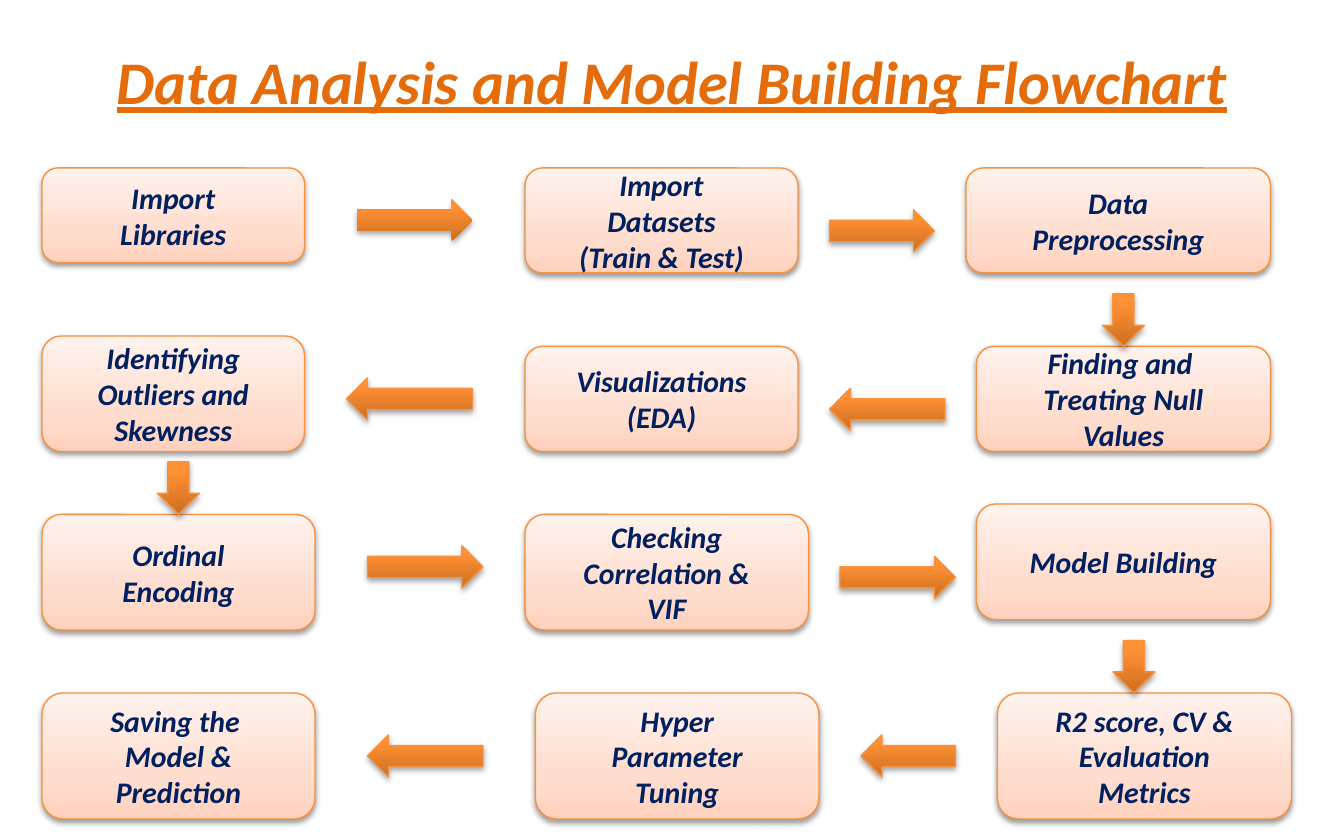
import dataclasses

import lxml.etree
import pptx
import pptx.dml.color
import pptx.enum.shapes
import pptx.enum.text
import pptx.oxml.ns
import pptx.util

Inches = pptx.util.Inches
Kind = pptx.enum.shapes.MSO_SHAPE
qn = pptx.oxml.ns.qn

UNIT = 10 / 128  # the slide is a grid of 128 by 80 squares
EDGE = "F69240"
STEP_FILL = ((0, "FFD2BD"), (35, "FFDED0"), (100, "FFF2ED"))
ARROW_FILL = ((0, "CC6E20"), (80, "FF9034"), (100, "FF9136"))
STEP_FONT = {"size": pptx.util.Pt(16), "name": "Calibri", "bold": True, "italic": True}
TITLE_FONT = STEP_FONT | {"size": pptx.util.Pt(32.4), "underline": True}


@dataclasses.dataclass(frozen=True)
class Step:
    """A flowchart box, measured in grid squares."""
    text: str
    left: int
    top: int
    width: int
    height: int


@dataclasses.dataclass(frozen=True)
class Arrow:
    """A block arrow, measured in grid squares."""
    kind: Kind
    left: int
    top: int
    width: int
    height: int = 4
    edged: bool = True


STEPS = (
    Step("Import\nLibraries", 4, 16, 25, 9),
    Step("Import\nDatasets\n(Train & Test)", 50, 16, 26, 10),
    Step("Data\nPreprocessing", 92, 16, 29, 10),
    Step("Finding and \nTreating Null\nValues", 93, 33, 28, 10),
    Step("Visualizations\n(EDA)", 50, 33, 26, 10),
    Step("Identifying\nOutliers and\nSkewness", 4, 32, 25, 11),
    Step("Ordinal\nEncoding", 4, 49, 26, 11),
    Step("Checking\nCorrelation &\nVIF", 50, 49, 27, 11),
    Step("Model Building", 93, 48, 28, 11),
    Step("R2 score, CV &\nEvaluation\nMetrics", 95, 66, 28, 12),
    Step("Hyper\nParameter\nTuning", 51, 66, 27, 12),
    Step("Saving the \nModel &\nPrediction", 4, 66, 26, 12),
)
ARROWS = (
    Arrow(Kind.RIGHT_ARROW, 34, 19, 11, edged=False),
    Arrow(Kind.RIGHT_ARROW, 79, 20, 10),
    Arrow(Kind.DOWN_ARROW, 105, 28, 4, 5),
    Arrow(Kind.LEFT_ARROW, 79, 37, 11),
    Arrow(Kind.LEFT_ARROW, 33, 36, 12),
    Arrow(Kind.DOWN_ARROW, 15, 44, 4, 5),
    Arrow(Kind.RIGHT_ARROW, 35, 52, 11),
    Arrow(Kind.RIGHT_ARROW, 80, 53, 11),
    Arrow(Kind.DOWN_ARROW, 106, 61, 4, 5),
    Arrow(Kind.LEFT_ARROW, 82, 70, 9),
    Arrow(Kind.LEFT_ARROW, 35, 70, 11),
)


def paint(color, value: str) -> None:
    color.rgb = pptx.dml.color.RGBColor.from_string(value)


def add_tag(parent, name: str, **values):
    node = lxml.etree.SubElement(parent, qn(name))
    for key, value in values.items():
        node.set(key, str(value))
    return node


def shade(shape, stops: tuple) -> None:
    """Fill from bottom to top with the given stops."""
    shape.fill.gradient()
    shape.fill.gradient_angle = 90
    ramp = shape.element.spPr.find(qn("a:gradFill")).find(qn("a:gsLst"))
    for old in list(ramp):
        ramp.remove(old)
    for place, value in stops:
        stop = add_tag(ramp, "a:gs", pos=place * 1000)
        add_tag(stop, "a:srgbClr", val=value)


def cast(shape, drop: float, alpha: int) -> None:
    """Add a soft black shadow below the shape."""
    shape.shadow.inherit = False
    effects = shape.element.spPr.find(qn("a:effectLst"))
    shadow = add_tag(effects, "a:outerShdw", blurRad=pptx.util.Pt(3.1),
                     dist=pptx.util.Pt(drop), dir=90 * 60000, rotWithShape=0)
    color = add_tag(shadow, "a:srgbClr", val="000000")
    add_tag(color, "a:alpha", val=alpha * 1000)


def write(shape, text: str, look: dict, color: str) -> None:
    frame = shape.text_frame
    frame.word_wrap = True
    frame.vertical_anchor = pptx.enum.text.MSO_ANCHOR.MIDDLE
    frame.text = text
    for para in frame.paragraphs:
        para.alignment = pptx.enum.text.PP_ALIGN.CENTER
        font = para.runs[0].font
        for key, value in look.items():
            setattr(font, key, value)
        paint(font.color, color)


def add_block(slide, kind: Kind, item: Step | Arrow, stops: tuple):
    sides = (item.left, item.top, item.width, item.height)
    shape = slide.shapes.add_shape(kind, *(Inches(n * UNIT) for n in sides))
    shade(shape, stops)
    paint(shape.line.color, EDGE)
    shape.line.width = pptx.util.Pt(0.75)
    return shape


def add_step(slide, step: Step) -> None:
    shape = add_block(slide, Kind.ROUNDED_RECTANGLE, step, STEP_FILL)
    cast(shape, 1.6, 38)
    write(shape, step.text, STEP_FONT, "002060")


def add_arrow(slide, arrow: Arrow) -> None:
    shape = add_block(slide, arrow.kind, arrow, ARROW_FILL)
    if not arrow.edged:
        shape.line.fill.background()
    cast(shape, 1.8, 35)


def main() -> None:
    deck = pptx.Presentation()
    deck.slide_width, deck.slide_height = Inches(10), Inches(6.25)
    slide = deck.slides.add_slide(deck.slide_layouts[6])
    title = slide.shapes.add_textbox(Inches(0.5), Inches(0.25), Inches(9), Inches(0.69))
    write(title, "Data Analysis and Model Building Flowchart", TITLE_FONT, "E46C0A")
    for step in STEPS:
        add_step(slide, step)
    for arrow in ARROWS:
        add_arrow(slide, arrow)
    deck.save("out.pptx")


if __name__ == "__main__":
    main()
